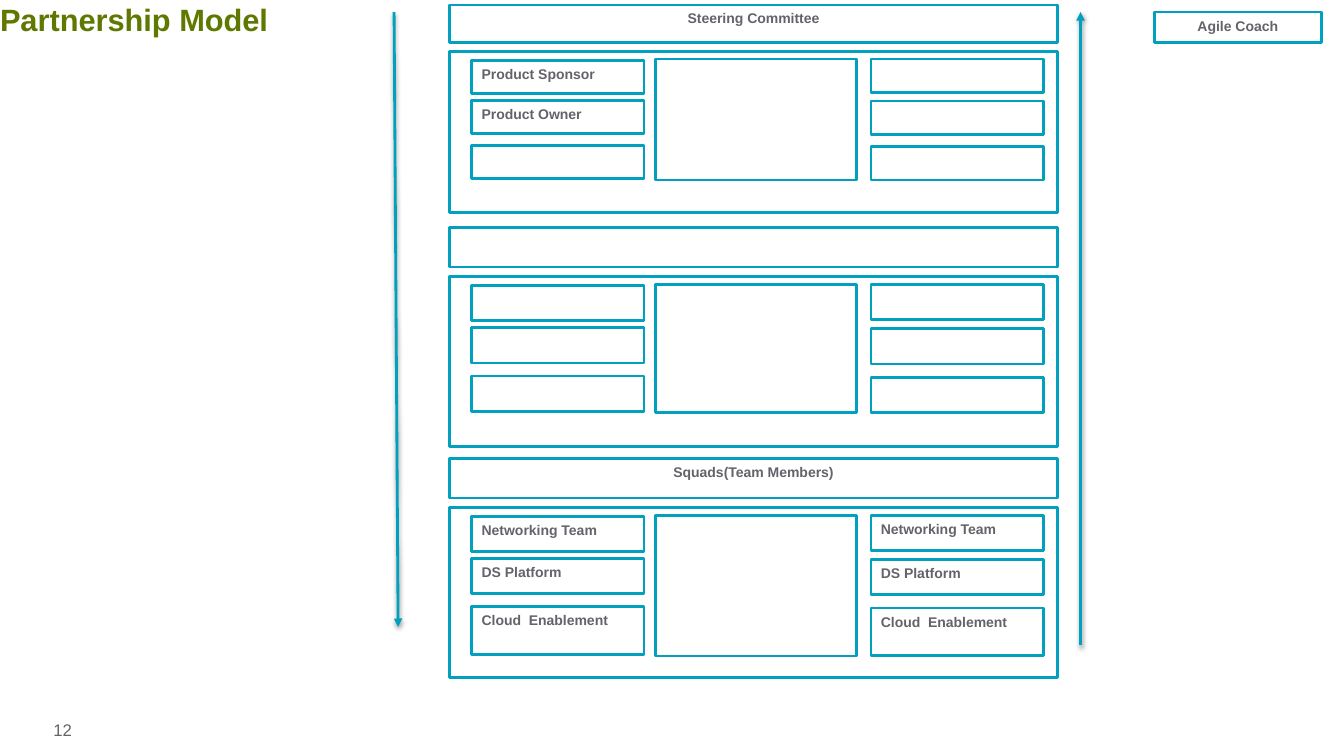
from lxml import etree
from pptx import Presentation
from pptx.dml.color import RGBColor
from pptx.enum.shapes import MSO_CONNECTOR, MSO_SHAPE
from pptx.enum.text import MSO_ANCHOR, PP_ALIGN
from pptx.oxml import parse_xml
from pptx.oxml.ns import qn
from pptx.util import Pt

LEFT, CENTER = PP_ALIGN.LEFT, PP_ALIGN.CENTER
TOP, MIDDLE = MSO_ANCHOR.TOP, MSO_ANCHOR.MIDDLE
RECT, STRAIGHT = MSO_SHAPE.RECTANGLE, MSO_CONNECTOR.STRAIGHT

FONT = "Arial"
TEAL, GREY, GREEN, WHITE = "00A0BE", "626469", "5F7800", "FFFFFF"

TITLE = "Partnership Model"
PAGE = "12"
COACH = "Agile Coach"
TEAMS = ["Networking Team", "DS Platform", "Cloud  Enablement"]

# Row scale 1 is a 23.76 pt cell; extra is added height of the last row
BANDS = [
    dict(header="Steering Committee", top=3.6, header_h=26.64, scale=1, extra=0,
         left=["Product Sponsor", "Product Owner", ""], right=["", "", ""]),
    dict(header="", top=162.72, header_h=28.08, scale=1.06, extra=0,
         left=["", "", ""], right=["", "", ""]),
    dict(header="Squads(Team Members)", top=327.6, header_h=28.08, scale=1.06,
         extra=9, left=TEAMS, right=TEAMS),
]
ARROWS = [(281.5, 8.64, 284.4, 447.84), (771.84, 460.8, 771.84, 8.64)]

BAND_X, BAND_W = 321.12, 434.16
LEFT_X, MID_X, RIGHT_X = 336.96, 468, 622.08
CELL_W, CELL_H, MID_W = 123.12, 23.76, 144
PANEL_GAP, PANEL_H, MID_H = 6.7, 114.6, 86.4
LEFT_ROWS = [6.1, 34.6, 67.1]
RIGHT_ROWS = [5.3, 35.3, 67.9]

SHADOW = (
    '<a:effectLst xmlns:a="http://schemas.openxmlformats.org/drawingml/2006/main">'
    '<a:outerShdw blurRad="39370" dist="20320" dir="5400000" rotWithShape="0">'
    '<a:srgbClr val="000000"><a:alpha val="38000"/></a:srgbClr>'
    '</a:outerShdw></a:effectLst>'
)


def rgb(value):
    return RGBColor.from_string(value)


def write(sp, text, size, color, bold, align=LEFT, anchor=TOP):
    tf = sp.text_frame
    tf.word_wrap = True
    tf.vertical_anchor = anchor
    p = tf.paragraphs[0]
    p.alignment = align
    r = p.add_run()
    r.text = text
    r.font.name = FONT
    r.font.size = Pt(size)
    r.font.bold = bold
    r.font.color.rgb = rgb(color)
    return tf


def box(shapes, x, y, w, h, text="", align=LEFT):
    sp = shapes.add_shape(RECT, Pt(x), Pt(y), Pt(w), Pt(h))
    sp.shadow.inherit = False
    sp.fill.solid()
    sp.fill.fore_color.rgb = rgb(WHITE)
    sp.line.color.rgb = rgb(TEAL)
    sp.line.width = Pt(2)
    if text:
        tf = write(sp, text, 10, GREY, True, align)
        tf.paragraphs[0].space_after = Pt(6)


def arrow(shapes, x1, y1, x2, y2):
    line = shapes.add_connector(STRAIGHT, Pt(x1), Pt(y1), Pt(x2), Pt(y2))
    line.line.color.rgb = rgb(TEAL)
    line.line.width = Pt(2)
    etree.SubElement(line.line._get_or_add_ln(), qn("a:tailEnd"), type="triangle")
    line._element.spPr.append(parse_xml(SHADOW))


def band(shapes, header, top, header_h, scale, extra, left, right):
    """Draw a header bar and, below it, a panel with two columns of cells."""
    box(shapes, BAND_X, top, BAND_W, header_h, header, CENTER)
    panel = top + header_h + PANEL_GAP
    box(shapes, BAND_X, panel, BAND_W, PANEL_H * scale)
    for x, rows, labels in ((LEFT_X, LEFT_ROWS, left), (RIGHT_X, RIGHT_ROWS, right)):
        for row, label in zip(rows, labels):
            h = CELL_H * scale + (extra if row == rows[-1] else 0)
            box(shapes, x, panel + row * scale, CELL_W, h, label)
    box(shapes, MID_X, panel + RIGHT_ROWS[0] * scale, MID_W, MID_H * scale + extra)


def main():
    prs = Presentation()
    prs.slide_width, prs.slide_height = Pt(960), Pt(540)
    shapes = prs.slides.add_slide(prs.slide_layouts[6]).shapes

    page = shapes.add_textbox(Pt(30.96), Pt(510.5), Pt(58.3), Pt(29.5))
    write(page, PAGE, 12, GREY, False)
    title = shapes.add_textbox(Pt(0), Pt(3.6), Pt(236.9), Pt(23))
    tf = write(title, TITLE, 22, GREEN, True, anchor=MIDDLE)
    tf.margin_left = tf.margin_right = tf.margin_top = tf.margin_bottom = 0
    tf.paragraphs[0].line_spacing = 0.9

    for spec_row in BANDS:
        band(shapes.add_group_shape().shapes, **spec_row)
    for ends in ARROWS:
        arrow(shapes, *ends)
    box(shapes, 824.4, 8.64, 119.5, 21.6, COACH, CENTER)

    prs.save("out.pptx")


if __name__ == "__main__":
    main()
